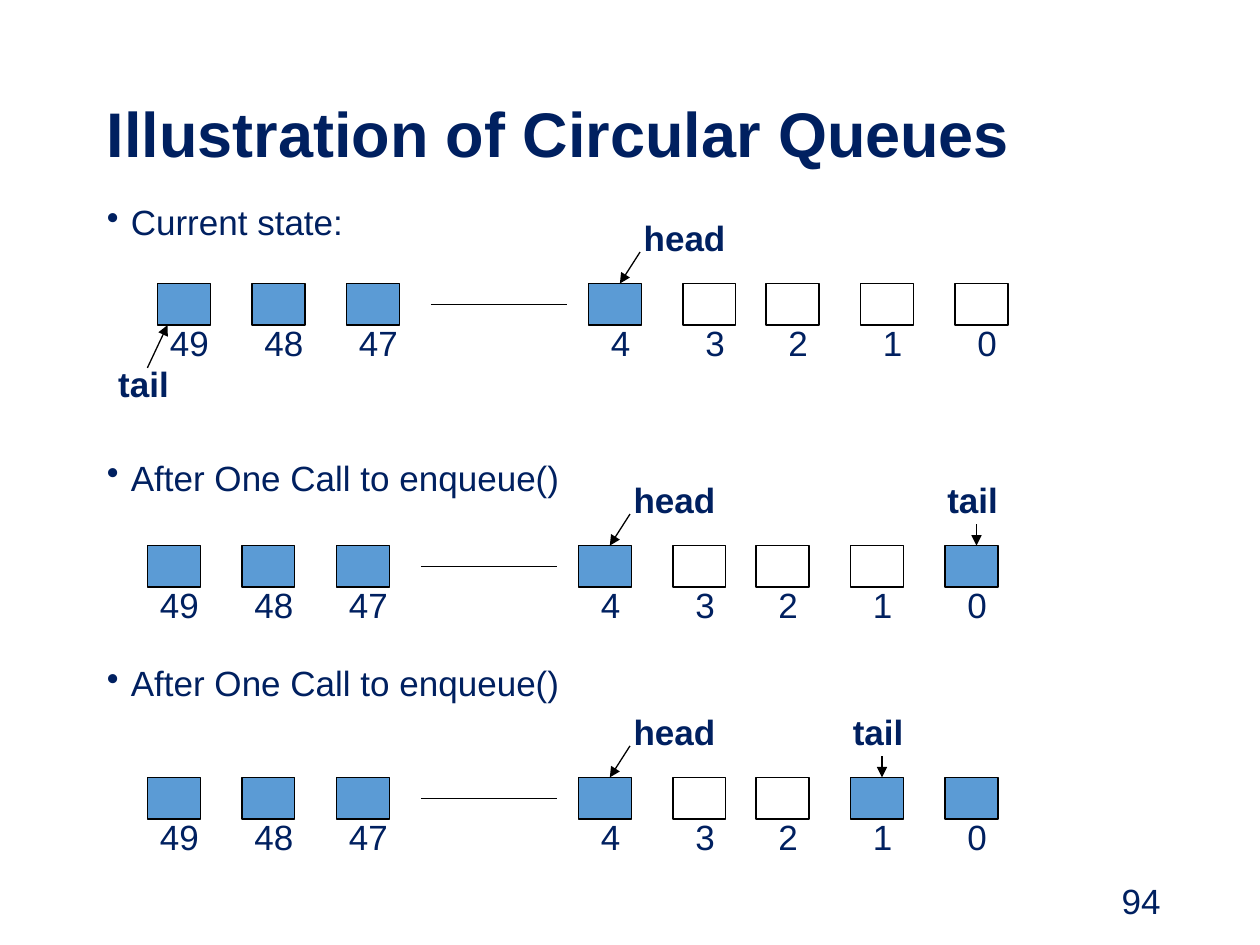
"""Build a slide showing a circular queue before and after two enqueue calls."""
import pptx
import pptx.dml.color
import pptx.enum.shapes
import pptx.enum.text
import pptx.oxml
import pptx.oxml.ns
import pptx.util

Inches = pptx.util.Inches
Pt = pptx.util.Pt
ALIGN = pptx.enum.text.PP_ALIGN
ANCHOR = pptx.enum.text.MSO_ANCHOR

COLOURS = {"text": "002060", "filled": "5B9BD5", "line": "000000"}
TITLE = "Illustration of Circular Queues"
PAGE_NUMBER = "94"
STEPS = [("Current state:", 0), ("After One Call to enqueue()", 124.4),
         ("After One Call to enqueue()", 95.9)]
SLOTS = {"49": 0, "48": 0.75, "47": 1.5, "4": 3.42,
         "3": 4.17, "2": 4.83, "1": 5.58, "0": 6.33}
QUEUES = [
    {"left": 1.25, "top": 2.25, "filled": ("49", "48", "47", "4"), "tail": "49"},
    {"left": 1.17, "top": 4.33, "filled": ("49", "48", "47", "4", "0"), "tail": "0"},
    {"left": 1.17, "top": 6.17, "filled": ("49", "48", "47", "4", "1", "0"), "tail": "1"},
]
CELL_WIDTH, CELL_HEIGHT = 0.42, 0.33
LABEL_HEIGHT = 0.44


def colour(name):
    return pptx.dml.color.RGBColor.from_string(COLOURS[name])


def apply(target, formats):
    for name, value in formats.items():
        setattr(target, name, value)


def style(paragraph, **formats):
    apply(paragraph.font, {"name": "Arial", "size": Pt(20), **formats})
    paragraph.font.color.rgb = colour("text")


def add_label(shapes, text, left, top, width, height=LABEL_HEIGHT, frame_format=None,
              alignment=ALIGN.LEFT, **formats):
    frame = shapes.add_textbox(*map(Inches, (left, top, width, height))).text_frame
    apply(frame, {"word_wrap": True, **(frame_format or {})})
    paragraph = frame.paragraphs[0]
    paragraph.text = text
    paragraph.alignment = alignment
    style(paragraph, **formats)
    return paragraph


def add_line(shapes, start, end, arrow=False):
    line = shapes.add_connector(pptx.enum.shapes.MSO_CONNECTOR.STRAIGHT,
                                *map(Inches, (*start, *end)))
    line.line.color.rgb = colour("line")
    line.line.width = Pt(0.75)
    properties = line._element.spPr
    if arrow:
        pptx.oxml.ns.qn("a:tailEnd")
        head = line.line._get_or_add_ln().makeelement(
            pptx.oxml.ns.qn("a:tailEnd"), {"type": "triangle"})
        line.line._get_or_add_ln().append(head)
    properties.append(properties.makeelement(pptx.oxml.ns.qn("a:effectLst"), {}))


def add_steps(slide):
    frame = slide.shapes.add_textbox(*map(Inches, (0.75, 1.58, 8.5, 5.08))).text_frame
    frame.word_wrap = True
    for index, (text, gap) in enumerate(STEPS):
        paragraph = frame.add_paragraph() if index else frame.paragraphs[0]
        paragraph.text = text
        apply(paragraph, {"line_spacing": 0.9, "space_before": Pt(gap)})
        properties = paragraph._p.get_or_add_pPr()
        properties.set("marL", str(Inches(0.19)))
        properties.set("indent", str(Inches(-0.19)))
        bullet = properties.makeelement(pptx.oxml.ns.qn("a:buChar"), {"char": "•"})
        properties.append(bullet)
        style(paragraph)


def add_cells(slide, queue):
    left, top = queue["left"], queue["top"]
    shapes = slide.shapes.add_group_shape().shapes
    for number, offset in SLOTS.items():
        cell = shapes.add_shape(
            pptx.enum.shapes.MSO_SHAPE.RECTANGLE,
            *map(Inches, (left + offset, top, CELL_WIDTH, CELL_HEIGHT)))
        cell.shadow.inherit = False
        cell.line.color.rgb = colour("line")
        cell.line.width = Pt(0.75)
        if number in queue["filled"]:
            cell.fill.solid()
            cell.fill.fore_color.rgb = colour("filled")
        else:
            cell.fill.background()
        shift, width = (0, 0.58) if len(number) == 2 else (0.08, 0.37)
        add_label(shapes, number, left + offset + shift, top + 0.25, width)
    middle = top + CELL_HEIGHT / 2
    add_line(shapes, (left + 2.17, middle), (left + 3.25, middle))


def add_pointers(slide, queue):
    shapes, top = slide.shapes, queue["top"]
    head = queue["left"] + SLOTS["4"]
    tail = queue["left"] + SLOTS[queue["tail"]]
    pointers = [("head", (head + 0.34, top - 0.58), 0.85,
                 (head + 0.41, top - 0.25), (head + 0.25, top))]
    if queue["tail"] == "49":
        pointers.append(("tail", (tail - 0.41, top + 0.58), 0.6,
                         (tail - 0.08, top + 0.67), (tail + 0.08, top + CELL_HEIGHT)))
    else:
        pointers.append(("tail", (tail - 0.08, top - 0.58), 0.6,
                         (tail + 0.25, top - 0.17), (tail + 0.25, top)))
    for text, corner, width, start, end in pointers:
        add_label(shapes, text, *corner, width, frame_format={"word_wrap": False}, bold=True)
        add_line(shapes, start, end, arrow=True)


def main():
    deck = pptx.Presentation()
    apply(deck, {"slide_width": Inches(10), "slide_height": Inches(7.5)})
    slide = deck.slides.add_slide(deck.slide_layouts[6])
    middle = {"vertical_anchor": ANCHOR.MIDDLE}
    add_label(slide.shapes, PAGE_NUMBER, 7.06, 6.95, 2.25, 0.4, middle, ALIGN.RIGHT)
    title = add_label(slide.shapes, TITLE, 0.75, 0.67, 8.5, 0.83, middle,
                      size=Pt(36), bold=True)
    title.line_spacing = 0.9
    add_steps(slide)
    for queue in QUEUES:
        add_cells(slide, queue)
        add_pointers(slide, queue)
    deck.save("out.pptx")


if __name__ == "__main__":
    main()
